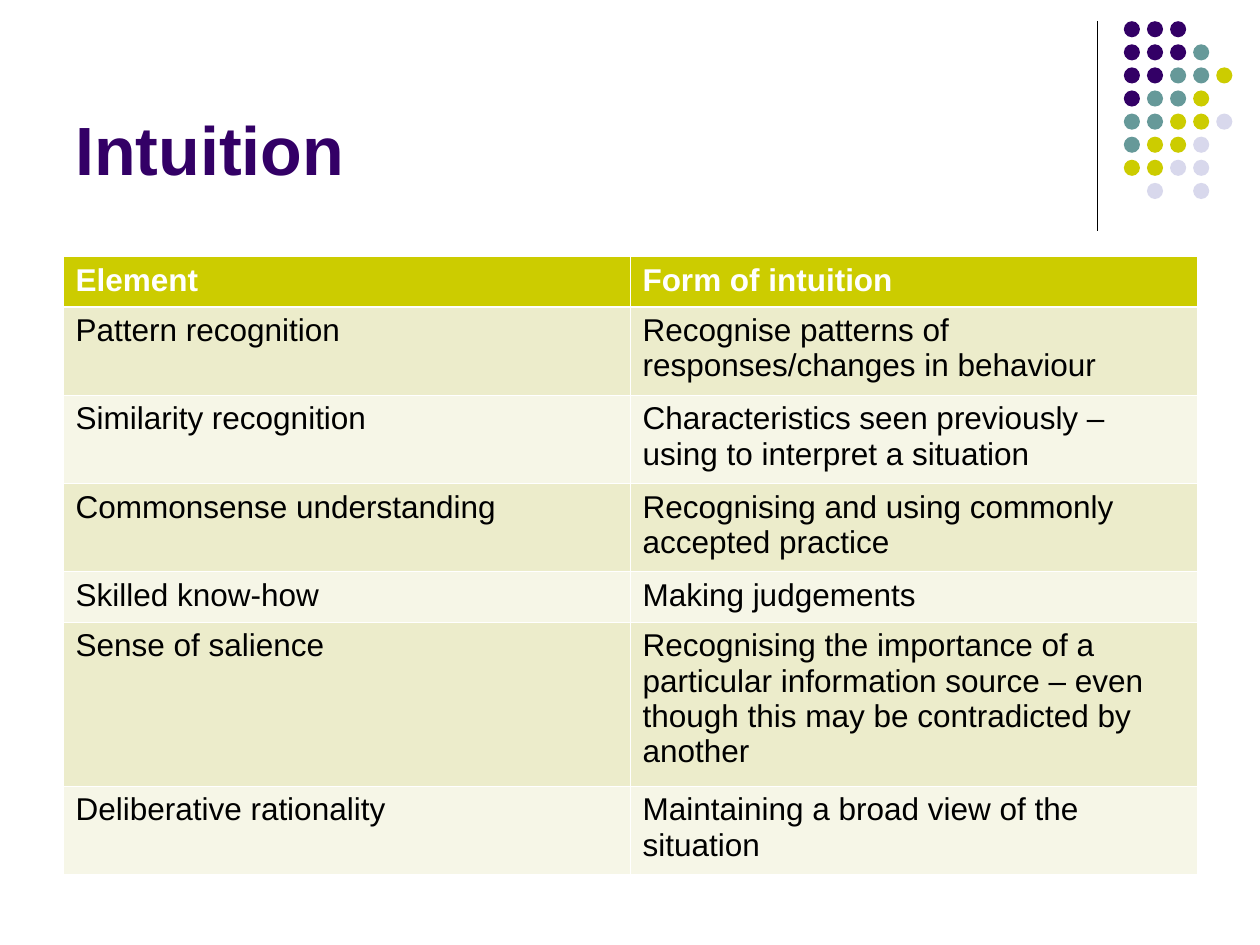
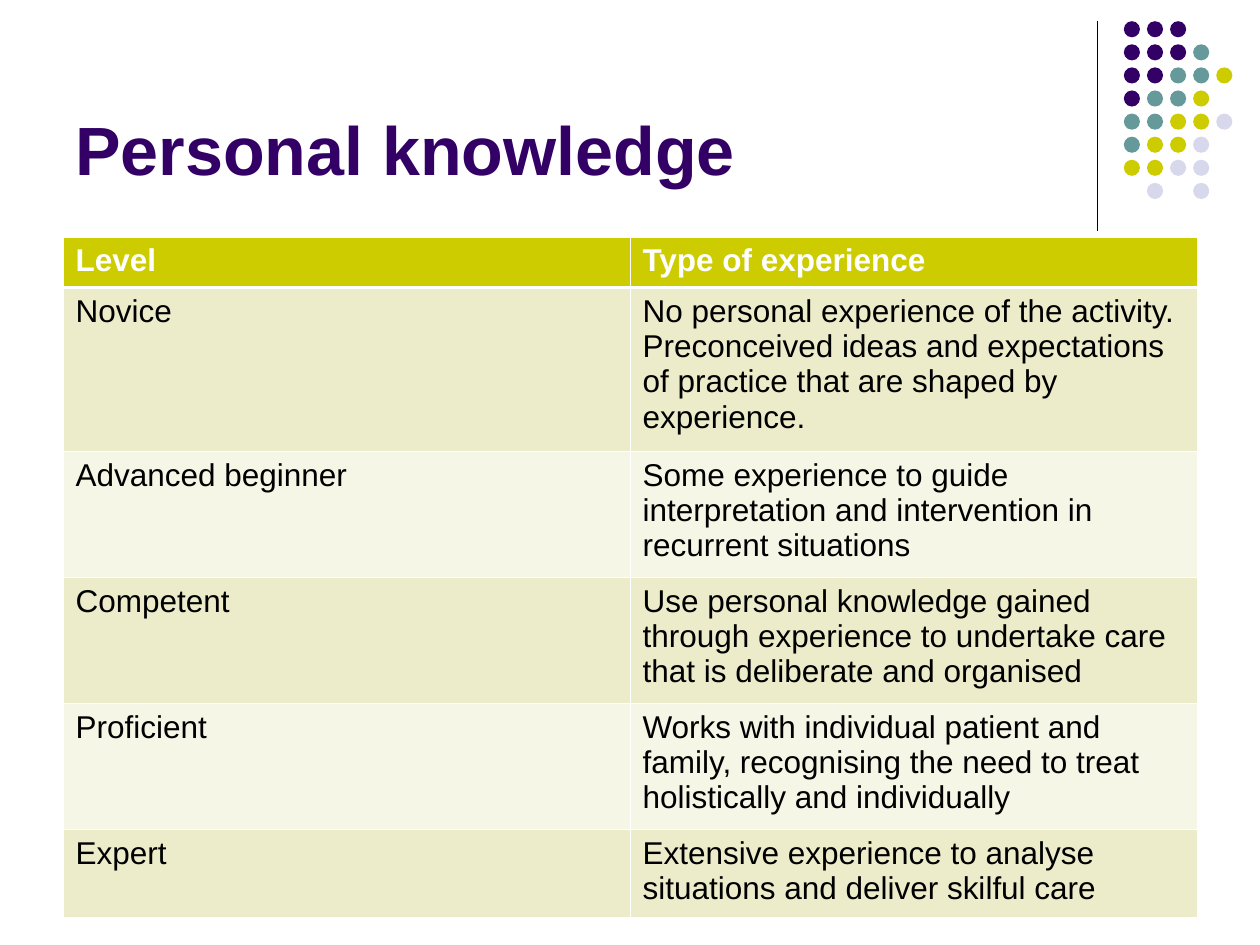
from lxml.etree import SubElement
from pptx import Presentation
from pptx.dml.color import RGBColor
from pptx.enum.shapes import MSO_CONNECTOR, MSO_SHAPE
from pptx.enum.text import MSO_ANCHOR
from pptx.oxml.ns import qn
from pptx.util import Pt

# Content: title, table top, header, then rows of (left text, right text, lines in the row)
SLIDES = [
    ("Intuition", 146.5, [
        ("Element", "Form of intuition", 1),
        ("Pattern recognition", "Recognise patterns of responses/changes in behaviour", 2),
        ("Similarity recognition",
         "Characteristics seen previously – using to interpret a situation", 2),
        ("Commonsense understanding", "Recognising and using commonly accepted practice", 2),
        ("Skilled know-how", "Making judgements", 1),
        ("Sense of salience",
         "Recognising the importance of a particular information source – "
         "even though this may be contradicted by another", 4),
        ("Deliberative rationality", "Maintaining a broad view of the situation", 2),
    ]),
    ("Personal knowledge", 135.5, [
        ("Level", "Type of experience", 1),
        ("Novice",
         "No personal experience of the activity. Preconceived ideas and "
         "expectations of practice that are shaped by experience.", 4),
        ("Advanced beginner",
         "Some experience to guide interpretation and intervention in recurrent situations", 3),
        ("Competent",
         "Use personal knowledge gained through experience to undertake care "
         "that is deliberate and organised", 3),
        ("Proficient",
         "Works with individual patient and family, recognising the need to treat "
         "holistically and individually", 3),
        ("Expert", "Extensive experience to analyse situations and deliver skilful care", 2),
    ]),
]

# Shared style
FONT = "Arial"
PURPLE, TEAL, OLIVE, LILAC = "330066", "669999", "CCCC00", "D8D8EC"
BLACK, WHITE = "000000", "FFFFFF"
ROW_FILLS = ["ECECCB", "F6F6E7"]
TABLE_LEFT, COLUMN_WIDTH = 36, 324
LINE_HEIGHT, CELL_PADDING = 21.6, 3.6
THIN, THICK = 0.45, 1.47

# Dot motif: one letter per dot, a blank for none
DOT_COLOURS = {"P": PURPLE, "T": TEAL, "O": OLIVE, "L": LILAC}
DOT_ROWS = ["PPP", "PPPT", "PPTTO", "PTTO", "TTOOL", "TOOL", "OOLL", " L L"]
DOT_LEFT, DOT_TOP, DOT_SIZE, DOT_PITCH = 642.2, 12.1, 9.2, 13.2


def colour(hex_string):
    return RGBColor.from_string(hex_string)


def style_text(frame, size, hex_string, bold):
    font = frame.paragraphs[0].runs[0].font
    font.name, font.size, font.bold = FONT, Pt(size), bold
    font.color.rgb = colour(hex_string)


def add_corner_motif(page):
    rule = page.shapes.add_connector(
        MSO_CONNECTOR.STRAIGHT, Pt(627), Pt(12), Pt(627), Pt(132))
    rule.line.color.rgb = colour(BLACK)
    rule.line.width = Pt(0.75)
    SubElement(rule._element.spPr, qn("a:effectLst"))

    dots = page.shapes.add_group_shape()
    for row, letters in enumerate(DOT_ROWS):
        for column, letter in enumerate(letters):
            if letter not in DOT_COLOURS:
                continue
            dot = dots.shapes.add_shape(
                MSO_SHAPE.OVAL, Pt(DOT_LEFT + column * DOT_PITCH),
                Pt(DOT_TOP + row * DOT_PITCH), Pt(DOT_SIZE), Pt(DOT_SIZE))
            dot.shadow.inherit = False
            dot.fill.solid()
            dot.fill.fore_color.rgb = colour(DOT_COLOURS[letter])
            dot.line.fill.background()


def add_title(page, title):
    box = page.shapes.add_textbox(Pt(36), Pt(9.4), Pt(594), Pt(102.2))
    frame = box.text_frame
    frame.word_wrap = True
    frame.vertical_anchor = MSO_ANCHOR.BOTTOM
    frame.text = title
    style_text(frame, 39, PURPLE, True)


def set_borders(cell, row):
    widths = {"lnL": THIN, "lnR": THIN,
              "lnT": THICK if row == 1 else THIN,
              "lnB": THICK if row == 0 else THIN}
    properties = cell._tc.get_or_add_tcPr()
    # Borders must come before the cell fill
    for position, (tag, width) in enumerate(widths.items()):
        border = properties.makeelement(qn(f"a:{tag}"), {"w": str(Pt(width))})
        fill = SubElement(border, qn("a:solidFill"))
        SubElement(fill, qn("a:srgbClr"), val=WHITE)
        properties.insert(position, border)


def add_text_table(page, top, rows):
    heights = [lines * LINE_HEIGHT + 2 * CELL_PADDING for _, _, lines in rows]
    table = page.shapes.add_table(
        len(rows), 2, Pt(TABLE_LEFT), Pt(top),
        Pt(2 * COLUMN_WIDTH), Pt(sum(heights))).table
    for column in table.columns:
        column.width = Pt(COLUMN_WIDTH)
    for row, (*texts, _) in enumerate(rows):
        table.rows[row].height = Pt(heights[row])
        header = row == 0
        for column, text in enumerate(texts):
            cell = table.cell(row, column)
            cell.margin_top = cell.margin_bottom = Pt(CELL_PADDING)
            cell.fill.solid()
            cell.fill.fore_color.rgb = colour(OLIVE if header else ROW_FILLS[(row - 1) % 2])
            set_borders(cell, row)
            cell.text_frame.text = text
            style_text(cell.text_frame, 18, WHITE if header else BLACK, header)


def main():
    deck = Presentation()
    deck.slide_width, deck.slide_height = Pt(720), Pt(540)
    for title, table_top, rows in SLIDES:
        page = deck.slides.add_slide(deck.slide_layouts[6])
        add_corner_motif(page)
        add_title(page, title)
        add_text_table(page, table_top, rows)
    deck.save("out.pptx")


if __name__ == "__main__":
    main()
